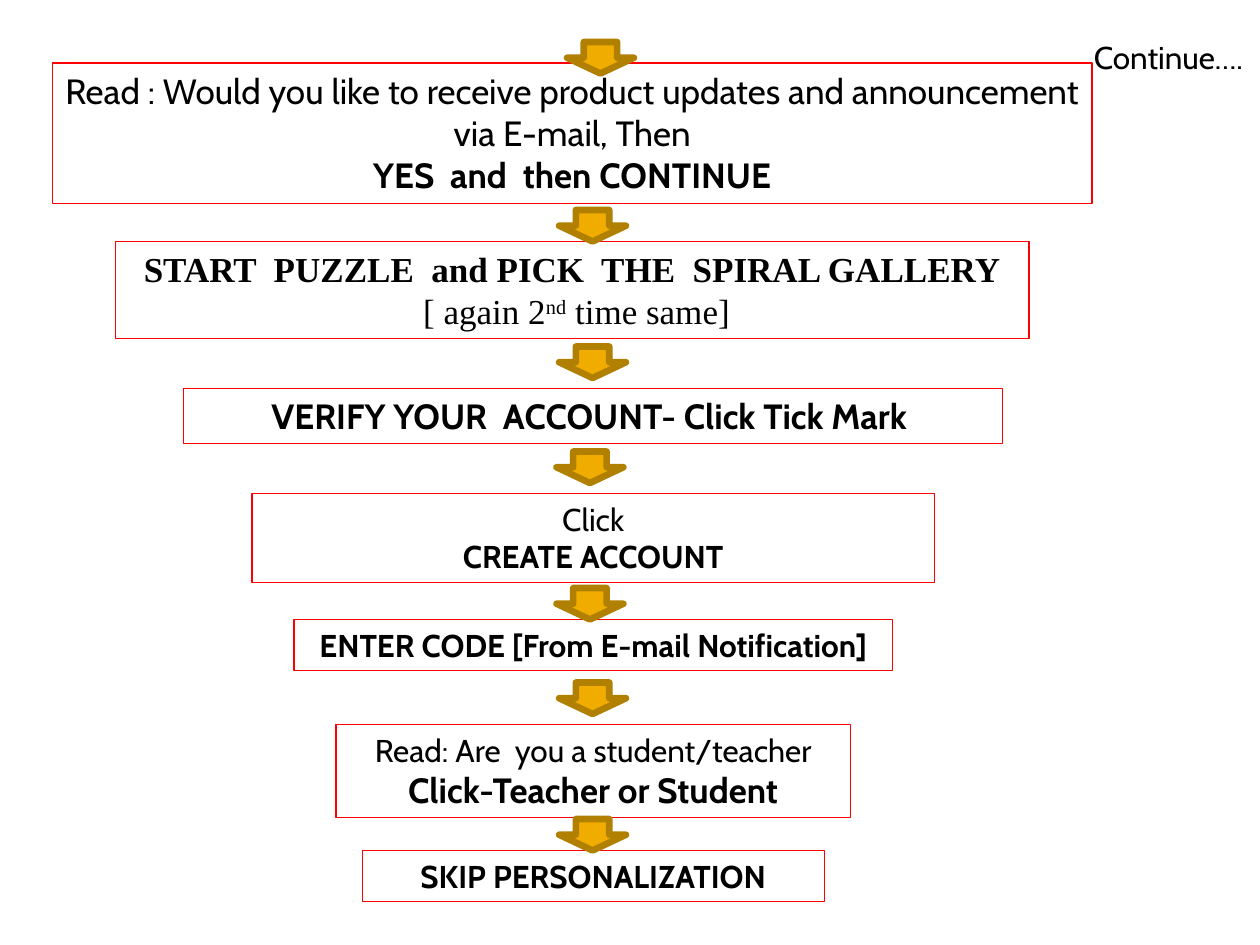
from pptx import Presentation
from pptx.dml.color import RGBColor
from pptx.enum.shapes import MSO_SHAPE
from pptx.enum.text import MSO_ANCHOR, MSO_AUTO_SIZE, PP_ALIGN
from pptx.util import Pt

PX = 9525
CABIN = "Cabin"
TIMES = "Times New Roman"
ARROW_WIDTH, ARROW_HEIGHT = 51, 24

# center, top, width, height, font, paragraphs of (text, size, bold, baseline) runs
STEPS = [
    (436, 48, 792, 107, CABIN, [
        [("Read : Would you like to receive product updates and announcement via E-mail, Then", 20, False, 0)],
        [("YES  and  then CONTINUE", 20, True, 0)],
    ]),
    (436, 184, 696, 74, TIMES, [
        [("START  PUZZLE  and PICK  THE  SPIRAL GALLERY", 20, True, 0)],
        [(" [ again 2", 20, False, 0), ("nd", 20, False, 30), (" time same]", 20, False, 0)],
    ]),
    (452, 296, 624, 42, CABIN, [[("VERIFY YOUR  ACCOUNT- Click Tick Mark ", 20, True, 0)]]),
    (452, 376, 520, 68, CABIN, [
        [("Click", 18, False, 0)],
        [("CREATE ACCOUNT", 18, True, 0)],
    ]),
    (452, 472, 456, 39, CABIN, [[("ENTER CODE [From E-mail Notification]", 18, True, 0)]]),
    (452, 552, 392, 71, CABIN, [
        [("Read: Are  you a student/teacher", 18, False, 0)],
        [("Click-Teacher or Student", 20, True, 0)],
    ]),
    (452, 648, 352, 39, CABIN, [[("SKIP PERSONALIZATION", 18, True, 0)]]),
]
ARROWS = [(432, 32), (426, 160), (426, 264), (424, 344), (424, 448), (426, 520), (426, 624)]


def color(value):
    return RGBColor.from_string(value)


def px(*lengths):
    return [round(length * PX) for length in lengths]


def write_text(text_frame, paragraphs, font_name, alignment):
    text_frame.word_wrap = True
    text_frame.auto_size = MSO_AUTO_SIZE.SHAPE_TO_FIT_TEXT
    for index, runs in enumerate(paragraphs):
        paragraph = text_frame.add_paragraph() if index else text_frame.paragraphs[0]
        paragraph.alignment = alignment
        for text, size, bold, baseline in runs:
            run = paragraph.add_run()
            run.text = text
            run.font.name = font_name
            run.font.size = Pt(size)
            run.font.bold = bold
            run.font.color.rgb = color("000000")
            if baseline:
                run.font._element.set("baseline", str(baseline * 1000))


def add_step(slide, center, top, width, height, font_name, paragraphs):
    box = px(center - width / 2, top, width, height)
    shape = slide.shapes.add_shape(MSO_SHAPE.RECTANGLE, *box)
    shape.shadow.inherit = False
    shape.fill.background()
    shape.line.color.rgb = color("FF0000")
    shape.line.width = Pt(0.75)
    shape.text_frame.vertical_anchor = MSO_ANCHOR.TOP
    write_text(shape.text_frame, paragraphs, font_name, PP_ALIGN.CENTER)


def add_arrow(slide, left, top):
    shape = slide.shapes.add_shape(MSO_SHAPE.DOWN_ARROW, *px(left, top, ARROW_WIDTH, ARROW_HEIGHT))
    shape.shadow.inherit = False
    shape.fill.solid()
    shape.fill.fore_color.rgb = color("F0AD00")
    shape.line.color.rgb = color("B28000")
    shape.line.width = Pt(3.78)


def add_continue_label(slide, left, top, width, height):
    label = slide.shapes.add_textbox(*px(left, top, width, height))
    write_text(label.text_frame, [[("Continue….", 18, False, 0)]], CABIN, PP_ALIGN.LEFT)


def main():
    presentation = Presentation()
    presentation.slide_width, presentation.slide_height = px(960, 720)
    slide = presentation.slides.add_slide(presentation.slide_layouts[6])
    for step in STEPS:
        add_step(slide, *step)
    for arrow in ARROWS:
        add_arrow(slide, *arrow)
    add_continue_label(slide, 824, 24, 136, 39)
    presentation.save("out.pptx")


if __name__ == "__main__":
    main()
